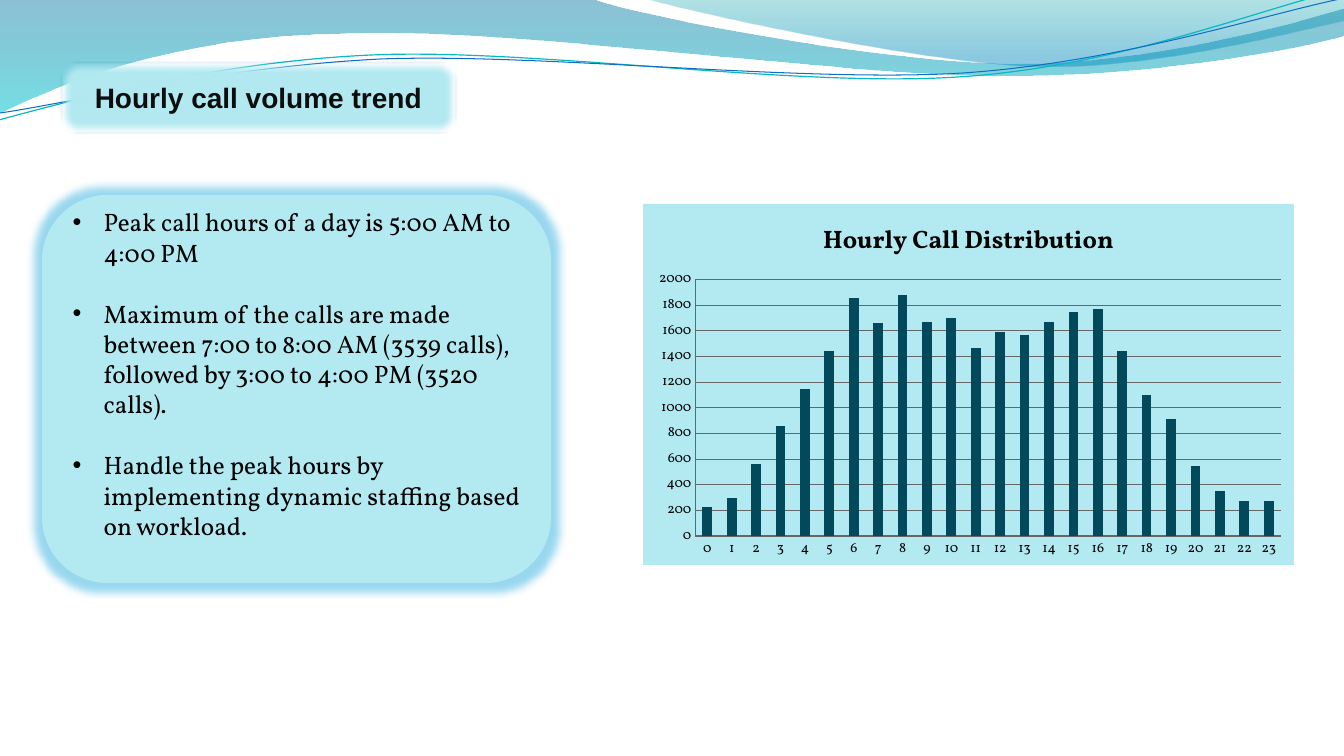
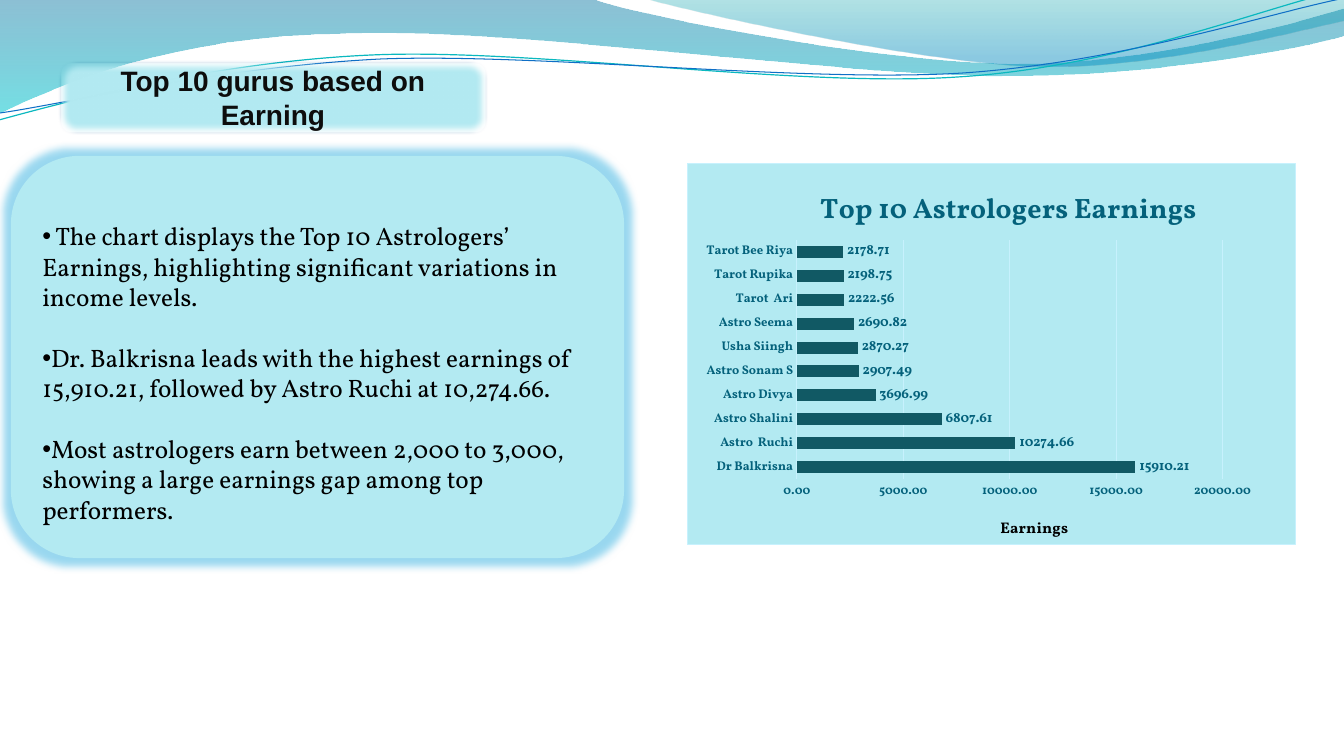
from dataclasses import dataclass

from lxml.etree import SubElement, Element
from pptx import Presentation
from pptx.chart.data import CategoryChartData
from pptx.dml.color import RGBColor
from pptx.enum.chart import XL_CHART_TYPE as ChartType
from pptx.enum.chart import XL_LABEL_POSITION as LabelPos
from pptx.enum.chart import XL_TICK_MARK as Tick
from pptx.enum.shapes import MSO_SHAPE as Shape
from pptx.enum.text import MSO_ANCHOR as Anchor
from pptx.enum.text import PP_ALIGN as Align
from pptx.oxml.ns import qn
from pptx.util import Emu, Pt

SCALE = 914400 / 100.8


@dataclass(frozen=True)
class Theme:
    """Colours, fonts and type sizes of the deck."""
    panel: str = "B3EAF2"
    title_line: str = "0B5292"
    title_ink: str = "0D0D0D"
    ink: str = "000000"
    teal_ink: str = "04617B"
    glow: str = "009DD9"
    grid: str = "666666"
    pale_grid: str = "C7F1FD"
    column: str = "03495C"
    bar: str = "115964"
    head_font: str = "Arial"
    body_font: str = "Vollkorn"
    title_size: int = 20
    body_size: int = 18
    chart_size: int = 10
    tick_size: int = 9
    axis_title_size: int = 11


T = Theme()

BANDS = [
    ((-1, 0), [[(592, -1)], [(639, 17), (892, 64), (1019, 64)],
               [(1147, 64), (1288, 26), (1344, 9)], [(1346, 36)],
               [(1321, 44), (1169, 77), (1002, 76)],
               [(836, 76), (513, 28), (346, 34)],
               [(173, 36), (61, 84), (-1, 114)]],
     [(0, "0074A1", 45), (1, "00C6CF", 55)]),
    ((644, -1), [[(684, 11), (916, 62), (1033, 66)],
                 [(1149, 70), (1292, 32), (1344, 21)], [(1344, 0)]],
     [(0, "00A1A9", 30), (0.8, "008BBF", 45)]),
]
WAVES = [
    ((-1, 120), [[(65, 102), (213, 62), (372, 55)],
                 [(531, 48), (796, 88), (958, 77)],
                 [(1119, 67), (1262, 8), (1342, -10)]], "0AB8BF", 0.85),
    ((0, 113), [[(64, 104), (220, 67), (381, 59)],
                [(541, 53), (802, 83), (963, 73)],
                [(1124, 62), (1265, 14), (1345, -2)]], "0F6FC6", 0.75),
]

HOURLY_CALLS = [230, 300, 560, 860, 1150, 1440, 1860, 1660, 1880, 1670, 1700, 1470,
                1590, 1570, 1670, 1750, 1770, 1440, 1100, 910, 550, 350, 270, 270]
EARNINGS = {
    "Dr Balkrisna": 15910.21, "Astro  Ruchi": 10274.66, "Astro Shalini": 6807.61,
    "Astro Divya": 3696.99, "Astro Sonam S": 2907.49, "Usha Siingh": 2870.27,
    "Astro Seema": 2690.82, "Tarot  Ari": 2222.56, "Tarot Rupika": 2198.75,
    "Tarot Bee Riya": 2178.71,
}
HOURLY_NOTES = [
    "Peak call hours of a day is 5:00 AM to 4:00 PM",
    "Maximum of the calls are made between 7:00 to 8:00 AM (3539 calls), "
    "followed by 3:00 to 4:00 PM (3520 calls).",
    "Handle the peak hours by implementing dynamic staffing based on workload.",
]
EARNING_NOTES = [
    " The chart displays the Top 10 Astrologers’ Earnings, highlighting "
    "significant variations in income levels.",
    "Dr. Balkrisna leads with the highest earnings of 15,910.21, followed by "
    "Astro Ruchi at 10,274.66.",
    "Most astrologers earn between 2,000 to 3,000, showing a large earnings gap "
    "among top performers.",
]


def px(n):
    """Turn px into EMU."""
    return Emu(round(n * SCALE))


def rgb(code):
    """Turn a hex code into a colour."""
    return RGBColor.from_string(code)


def style_font(font, size, color=T.ink, bold=False, name=T.body_font):
    """Set the face, size, colour and weight of a font."""
    font.name, font.size, font.bold = name, Pt(size), bold
    font.color.rgb = rgb(color)


def write(p, text, **fmt):
    """Add a formatted run to a paragraph."""
    r = p.add_run()
    r.text = text
    style_font(r.font, **fmt)


def style_line(line, color, width):
    """Set the colour and width of a line."""
    line.color.rgb, line.width = rgb(color), Pt(width)


def add_outline(s, start, segments, close):
    """Draw a freeform whose three-point segments are Bézier curves."""
    fb = s.shapes.build_freeform(*map(px, start), scale=1.0)
    points = [(px(x), px(y)) for seg in segments for x, y in seg]
    fb.add_line_segments(points, close=close)
    sp = fb.convert_to_shape()
    sp.shadow.inherit = False
    outline = sp.element.spPr.find(".//" + qn("a:path"))
    nodes = iter(outline.findall(qn("a:lnTo")))
    for seg in segments:
        legs = [next(nodes) for _ in seg]
        if len(legs) == 3:
            curve = Element(qn("a:cubicBezTo"))
            legs[0].addprevious(curve)
            for leg in legs:
                curve.append(leg[0])
                outline.remove(leg)
    return sp


def add_backdrop(s):
    """Draw the bands and waves along the top of a slide."""
    for start, segments, stops in BANDS:
        sp = add_outline(s, start, segments, True)
        sp.line.fill.background()
        sp.fill.gradient()
        sp.fill.gradient_angle = 270
        for stop, (pos, color, _) in zip(sp.fill.gradient_stops, stops):
            stop.position, stop.color.rgb = pos, rgb(color)
        for clr, (_, _, alpha) in zip(sp.element.spPr.iter(qn("a:srgbClr")), stops):
            SubElement(clr, qn("a:alpha"), val=str(alpha * 1000))
    for start, segments, color, width in WAVES:
        sp = add_outline(s, start, segments, False)
        sp.fill.background()
        style_line(sp.line, color, width)


def add_panel(s, box, line, width, effect, radius):
    """Add a rounded panel and return its text frame and effect element."""
    sp = s.shapes.add_shape(Shape.ROUNDED_RECTANGLE, *map(px, box))
    sp.shadow.inherit = False
    sp.fill.solid()
    sp.fill.fore_color.rgb = rgb(T.panel)
    style_line(sp.line, line, width)
    effects = sp.element.spPr.find(qn("a:effectLst"))
    fx = SubElement(effects, qn(effect), rad=str(Pt(radius)))
    tf = sp.text_frame
    tf.word_wrap, tf.vertical_anchor = True, Anchor.MIDDLE
    return tf, fx


def add_title(s, box, text):
    """Add the soft-edged title plate."""
    tf, _ = add_panel(s, box, T.title_line, 2, "a:softEdge", 5)
    p = tf.paragraphs[0]
    p.alignment = Align.CENTER
    write(p, text, size=T.title_size, color=T.title_ink, bold=True, name=T.head_font)


def add_notes_panel(s, box, notes, indent=0, top=5, bottom=5):
    """Add the glowing panel of bulleted notes."""
    tf, glow = add_panel(s, box, T.panel, 3, "a:glow", 11)
    clr = SubElement(glow, qn("a:srgbClr"), val=T.glow)
    SubElement(clr, qn("a:alpha"), val="40000")
    tf.margin_top, tf.margin_bottom = px(top), px(bottom)
    for i, note in enumerate(notes):
        p = tf.add_paragraph() if i else tf.paragraphs[0]
        p.alignment = Align.LEFT
        if i:
            p.space_before = Pt(22)
        pPr = p._p.get_or_add_pPr()
        pPr.set("marL", str(px(indent)))
        pPr.set("indent", str(-px(indent)))
        SubElement(pPr, qn("a:buFont"), typeface=T.head_font)
        SubElement(pPr, qn("a:buChar"), char="•")
        write(p, note, size=T.body_size)


def set_layout(parent, index, target=None, **place):
    """Place a chart part by fractions of the chart."""
    for old in parent.findall(qn("c:layout")):
        parent.remove(old)
    layout = Element(qn("c:layout"))
    manual = SubElement(layout, qn("c:manualLayout"))
    if target:
        SubElement(manual, qn("c:layoutTarget"), val=target)
    for mode in ("xMode", "yMode"):
        SubElement(manual, qn(f"c:{mode}"), val="edge")
    for key, value in place.items():
        SubElement(manual, qn(f"c:{key}"), val=str(value))
    parent.insert(index, layout)


def fill_chart(chart, border):
    """Fill the chart area and set its border."""
    spPr = Element(qn("c:spPr"))
    fill = SubElement(spPr, qn("a:solidFill"))
    SubElement(fill, qn("a:srgbClr"), val=T.panel)
    ln = SubElement(spPr, qn("a:ln"), w=str(Pt(0.75)))
    if border:
        fill = SubElement(ln, qn("a:solidFill"))
        SubElement(fill, qn("a:srgbClr"), val=border)
    else:
        SubElement(ln, qn("a:noFill"))
    chart.element.find(qn("c:chart")).addnext(spPr)


def add_bars(s, box, kind, data, title, title_fmt, plot, color, gap, top, step,
             grid, tick_fmt, border=None):
    """Add a one-series bar or column chart."""
    cd = CategoryChartData()
    cd.categories = list(data)
    cd.add_series("Series 1", list(data.values()))
    chart = s.shapes.add_chart(kind, *map(px, box), cd).chart
    style_font(chart.font, T.chart_size)
    chart.has_legend = False
    chart.has_title = True
    write(chart.chart_title.text_frame.paragraphs[0], title, bold=True, **title_fmt)
    chart.chart_title.include_in_layout = False
    fill_chart(chart, border)
    bars = chart.plots[0]
    bars.gap_width, bars.vary_by_categories = gap, False
    fill = bars.series[0].format.fill
    fill.solid()
    fill.fore_color.rgb = rgb(color)
    for axis in (chart.category_axis, chart.value_axis):
        axis.major_tick_mark = axis.minor_tick_mark = Tick.NONE
        style_font(axis.tick_labels.font, **tick_fmt)
        style_line(axis.format.line, grid, 0.75)
    va = chart.value_axis
    va.minimum_scale, va.maximum_scale, va.major_unit = 0, top, step
    va.has_major_gridlines = True
    style_line(va.major_gridlines.format.line, grid, 0.75)
    x, y, w, h = plot
    set_layout(chart.element.find(".//" + qn("c:plotArea")), 0, "inner", x=x, y=y, w=w, h=h)
    return chart


def add_hourly_chart(s, box):
    """Add the column chart of calls by hour."""
    data = {str(hour): calls for hour, calls in enumerate(HOURLY_CALLS)}
    add_bars(s, box, ChartType.COLUMN_CLUSTERED, data, "Hourly Call Distribution",
             dict(size=T.body_size), (0.08, 0.21, 0.9, 0.71), T.column, 150,
             2000, 200, T.grid, dict(size=T.chart_size))


def add_earnings_chart(s, box):
    """Add the labelled bar chart of earnings."""
    chart = add_bars(s, box, ChartType.BAR_CLUSTERED, EARNINGS,
                     "Top 10 Astrologers Earnings",
                     dict(size=T.title_size, color=T.teal_ink),
                     (0.18, 0.2, 0.7, 0.63), T.bar, 100, 20000, 5000, T.pale_grid,
                     dict(size=T.tick_size, color=T.teal_ink, bold=True), T.pale_grid)
    set_layout(chart.chart_title.element, 1, x=0.21, y=0.05)
    va = chart.value_axis
    va.format.line.fill.background()
    va.has_title = True
    write(va.axis_title.text_frame.paragraphs[0], "Earnings",
          size=T.axis_title_size, bold=True)
    set_layout(va.axis_title.element, 1, x=0.51, y=0.92)
    bars = chart.plots[0]
    bars.has_data_labels = True
    labels = bars.data_labels
    labels.show_value, labels.position = True, LabelPos.OUTSIDE_END
    style_font(labels.font, T.chart_size, T.teal_ink, True)
    for numbers in (labels, va.tick_labels):
        numbers.number_format, numbers.number_format_is_linked = "0.00", False


def new_slide(prs):
    """Add a blank slide with the shared backdrop."""
    s = prs.slides.add_slide(prs.slide_layouts[6])
    add_backdrop(s)
    return s


def main():
    """Build and save the deck."""
    prs = Presentation()
    prs.slide_width, prs.slide_height = px(1344), px(756)
    s = new_slide(prs)
    add_title(s, (61, 62, 395, 71), "Hourly call volume trend")
    add_notes_panel(s, (44, 197, 505, 384), HOURLY_NOTES, indent=31, bottom=36)
    add_hourly_chart(s, (643, 204, 651, 361))
    s = new_slide(prs)
    add_title(s, (60, 62, 426, 71), "Top 10 gurus based on Earning")
    add_notes_panel(s, (13, 158, 609, 398), EARNING_NOTES, top=36)
    add_earnings_chart(s, (687, 163, 609, 382))
    prs.save("out.pptx")


if __name__ == "__main__":
    main()
